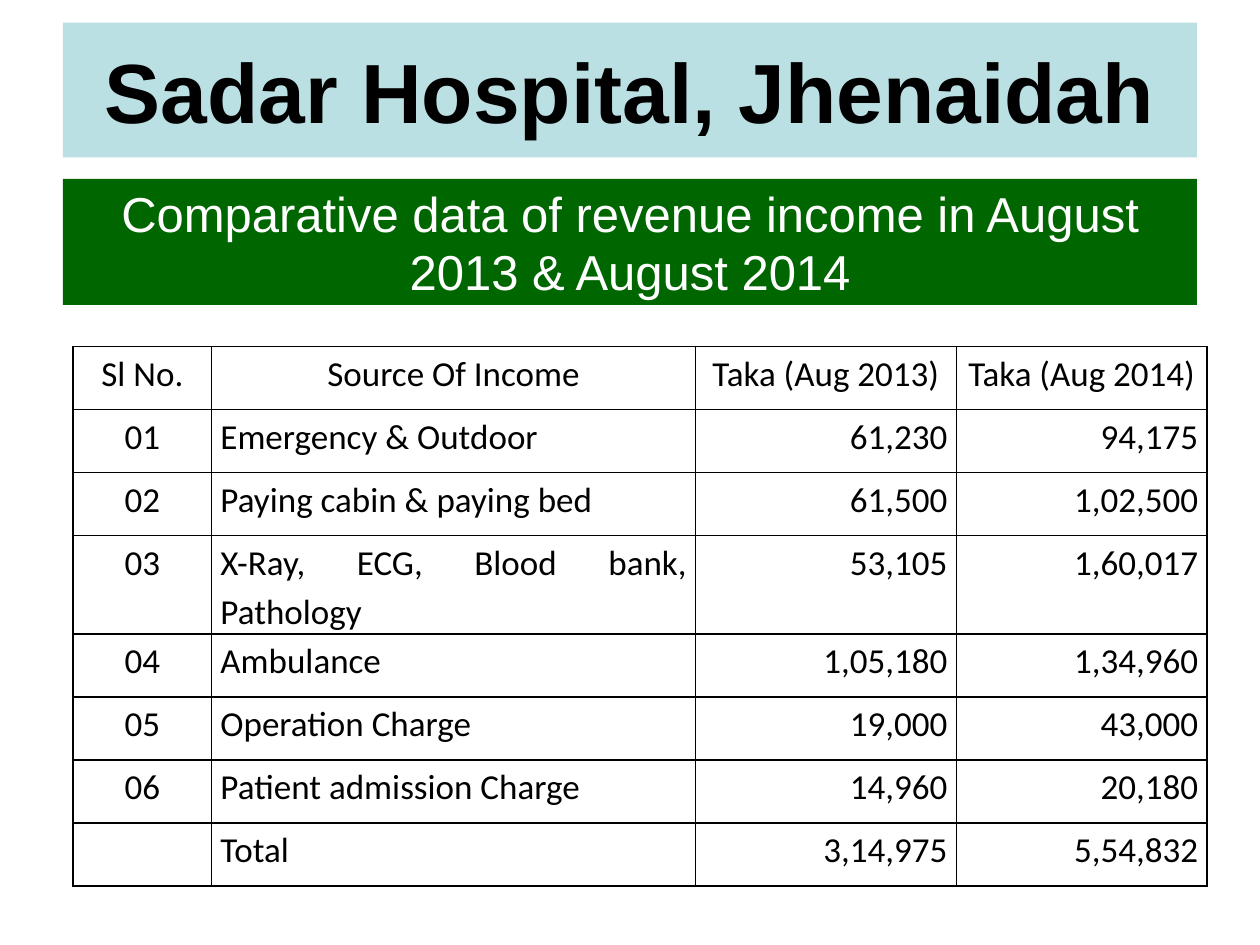
from lxml import etree
from pptx import Presentation
from pptx import util as u
from pptx.dml import color
from pptx.enum import shapes, text
from pptx.oxml import ns

Inches, Pt = u.Inches, u.Pt
ALIGN = text.PP_ALIGN

COLUMN_WIDTHS = [1.1, 3.84, 2.07, 1.99]
COLUMN_ALIGNS = [ALIGN.CENTER, ALIGN.JUSTIFY, ALIGN.RIGHT, ALIGN.RIGHT]
INCOME = [
    ("Sl No.", "Source Of Income", "Taka (Aug 2013)", "Taka (Aug 2014)"),
    ("01", "Emergency & Outdoor", "61,230", "94,175"),
    ("02", "Paying cabin & paying bed", "61,500", "1,02,500"),
    ("03", "X-Ray, ECG, Blood bank, Pathology", "53,105", "1,60,017"),
    ("04", "Ambulance", "1,05,180", "1,34,960"),
    ("05", "Operation Charge", "19,000", "43,000"),
    ("06", "Patient admission Charge", "14,960", "20,180"),
    ("", "Total", "3,14,975", "5,54,832"),
]
ROW_HEIGHTS = [0.77 if row[0] == "03" else 0.5 for row in INCOME]


def rgb(hex_color):
    return color.RGBColor.from_string(hex_color)


def write(frame, words, *, size, font="Arial", ink="000000", bold=False,
          align=ALIGN.CENTER, line_spacing=None, space_after=None):
    frame.word_wrap = True
    paragraph = frame.paragraphs[0]
    paragraph.alignment = align
    if line_spacing:
        paragraph.line_spacing = line_spacing
    if space_after:
        paragraph.space_after = Pt(space_after)
    target = paragraph
    if words:
        target = paragraph.add_run()
        target.text = words
    target.font.name = font
    target.font.size = Pt(size)
    target.font.bold = bold
    target.font.color.rgb = rgb(ink)


def outline_cell(cell, hex_color, width):
    """Draw all four borders; call before filling, as borders come first in tcPr."""
    properties = cell._tc.get_or_add_tcPr()
    for side in ("a:lnL", "a:lnR", "a:lnT", "a:lnB"):
        line = etree.SubElement(properties, ns.qn(side), w=str(Pt(width)))
        fill = etree.SubElement(line, ns.qn("a:solidFill"))
        etree.SubElement(fill, ns.qn("a:srgbClr"), val=hex_color)


class RevenueSlide:
    """Holds the slide and the style shared by its table cells."""

    border = ("000000", 1)
    cell_style = dict(size=20, font="Calibri", line_spacing=1.15, space_after=10)

    def __init__(self, slide):
        self.slide = slide

    def banner(self, words, left, top, width, height, fill, **style):
        band = self.slide.shapes.add_shape(
            shapes.MSO_SHAPE.RECTANGLE,
            Inches(left), Inches(top), Inches(width), Inches(height))
        band.shadow.inherit = False
        band.fill.solid()
        band.fill.fore_color.rgb = rgb(fill)
        band.line.fill.background()
        band.text_frame.vertical_anchor = text.MSO_ANCHOR.MIDDLE
        write(band.text_frame, words, **style)

    def table(self, rows, left, top):
        grid = self.slide.shapes.add_table(
            len(rows), len(COLUMN_WIDTHS), Inches(left), Inches(top),
            Inches(sum(COLUMN_WIDTHS)), Inches(sum(ROW_HEIGHTS))).table
        grid.first_row = grid.horz_banding = False
        for column, width in zip(grid.columns, COLUMN_WIDTHS):
            column.width = Inches(width)
        for r, (row, height) in enumerate(zip(rows, ROW_HEIGHTS)):
            grid.rows[r].height = Inches(height)
            for c, words in enumerate(row):
                align = COLUMN_ALIGNS[c] if r else ALIGN.CENTER
                self.cell(grid.cell(r, c), words, align)

    def cell(self, cell, words, align):
        outline_cell(cell, *self.border)
        cell.fill.background()
        cell.margin_left = cell.margin_right = Inches(0.07)
        cell.margin_top = cell.margin_bottom = 0
        write(cell.text_frame, words, align=align, **self.cell_style)


def main():
    deck = Presentation()
    deck.slide_width, deck.slide_height = Inches(10), Inches(7.5)
    revenue = RevenueSlide(deck.slides.add_slide(deck.slide_layouts[6]))
    revenue.banner("Comparative data of revenue income in August 2013 & August 2014",
                   0.5, 1.42, 9, 1, "006600", size=28, ink="FFFFFF")
    revenue.table(INCOME, 0.58, 2.75)
    revenue.banner("Sadar Hospital, Jhenaidah",
                   0.5, 0.18, 9, 1.07, "BBE0E3", size=48, bold=True)
    deck.save("out.pptx")


if __name__ == "__main__":
    main()
